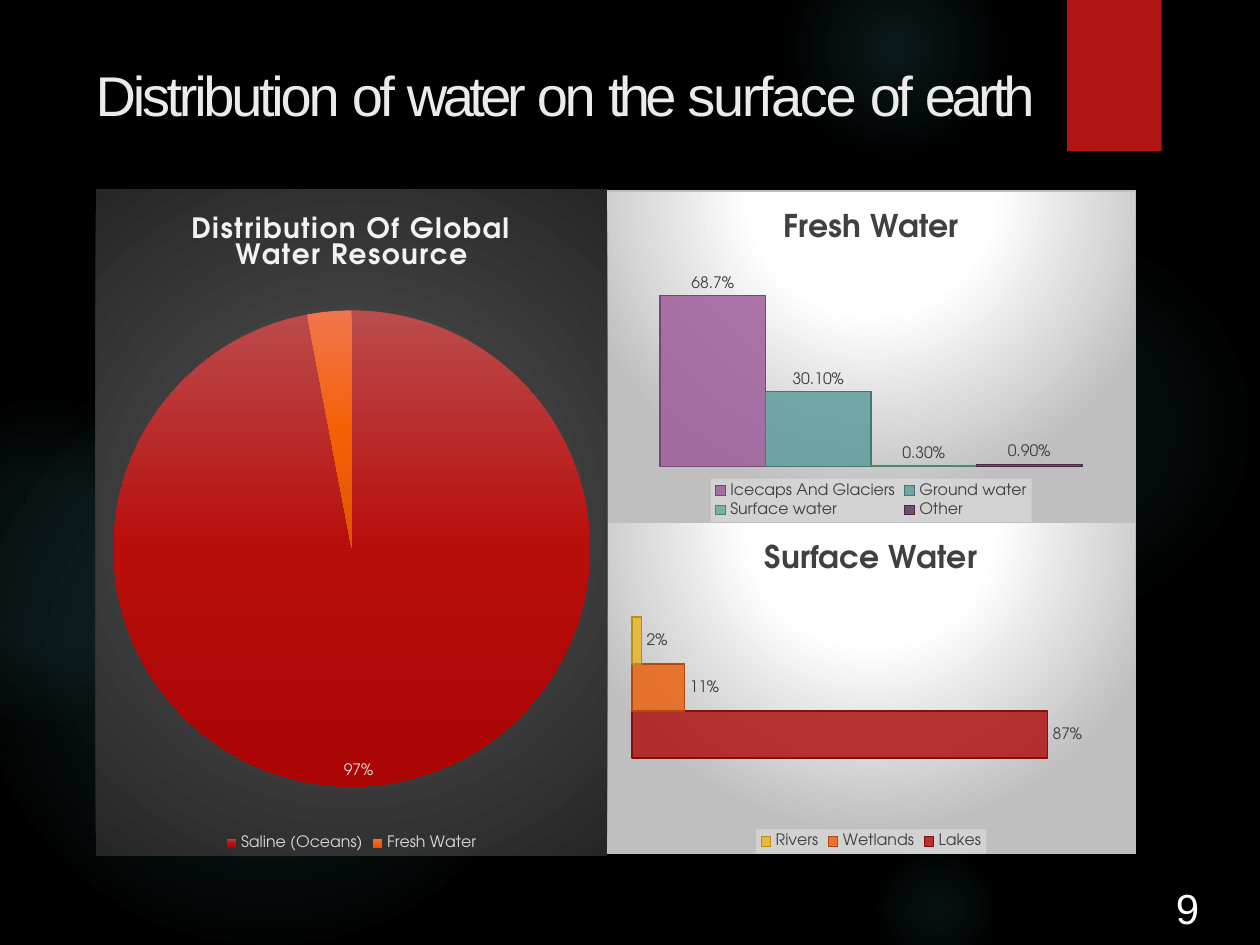
from lxml import etree
from pptx import Presentation
from pptx.chart.data import CategoryChartData
from pptx.dml.color import RGBColor
from pptx.enum.chart import XL_CHART_TYPE, XL_LABEL_POSITION, XL_LEGEND_POSITION
from pptx.enum.shapes import MSO_SHAPE
from pptx.enum.text import MSO_ANCHOR, PP_ALIGN
from pptx.oxml import parse_xml
from pptx.oxml.ns import nsdecls, qn
from pptx.util import Inches, Pt

COLUMN, BAR, PIE = XL_CHART_TYPE.COLUMN_CLUSTERED, XL_CHART_TYPE.BAR_CLUSTERED, XL_CHART_TYPE.PIE
BOTTOM = XL_LEGEND_POSITION.BOTTOM
INSIDE_END, OUTSIDE_END = XL_LABEL_POSITION.INSIDE_END, XL_LABEL_POSITION.OUTSIDE_END
RECTANGLE, OVAL = MSO_SHAPE.RECTANGLE, MSO_SHAPE.OVAL
TOP, LOWER, CENTER = MSO_ANCHOR.TOP, MSO_ANCHOR.BOTTOM, PP_ALIGN.CENTER

COLORS = {
    "black": "000000", "white": "FFFFFF", "glow": "50B9C1", "accent": "B01513",
    "title": "EBEBEB", "dark text": "404040", "pale text": "D9D9D9",
    "legend": "F2F2F2", "edge": "BFBFBF",
}
CHART_FONT = "TeX Gyre Adventor"
MID_CIRCLE = (50, 50, 50, 50)
ABOVE_CIRCLE = (50, -80, 50, 180)
LIGHT_STOPS = [(0, "FFFFFF", 100), (39, "FFFFFF", 100), (100, "BFBFBF", 100)]
DARK_STOPS = [(0, "595959", 100), (100, "262626", 100)]


def rgb(name):
    return RGBColor.from_string(COLORS.get(name, name))


def paint_gradient(properties, stops, focus=None):
    stop_xml = "".join(
        f'<a:gs pos="{pos * 1000}"><a:srgbClr val="{color}"><a:alpha val="{alpha * 1000}"/></a:srgbClr></a:gs>'
        for pos, color, alpha in stops)
    shade = '<a:lin ang="5400000" scaled="0"/>'
    if focus:
        sides = " ".join(f'{side}="{share * 1000}"' for side, share in zip("ltrb", focus))
        shade = f'<a:path path="circle"><a:fillToRect {sides}/></a:path>'
    gradient = parse_xml(f'<a:gradFill {nsdecls("a")} rotWithShape="1"><a:gsLst>{stop_xml}</a:gsLst>{shade}</a:gradFill>')
    properties.replace(properties.find(qn("a:noFill")), gradient)


deck = Presentation()
deck.slide_width, deck.slide_height = Inches(10), Inches(7.5)
slide = deck.slides.add_slide(deck.slide_layouts[5])
slide.background.fill.solid()
slide.background.fill.fore_color.rgb = rgb("black")

glows = [
    (6.89, 1.83, 3.08, [(0, 7), (36, 6), (69, 0)]),
    (6.22, -0.5, 1.75, [(0, 14), (36, 7), (73, 0)]),
    (6.89, 6.67, 1.08, [(0, 9), (36, 5), (66, 0)]),
    (-0.17, 2.92, 4.58, [(0, 11), (36, 10), (75, 0)]),
    (-0.92, 3.17, 2.58, [(0, 8), (36, 8), (72, 0)]),
]
for left, top, size, fades in glows:
    glow = slide.shapes.add_shape(OVAL, Inches(left), Inches(top), Inches(size), Inches(size))
    glow.shadow.inherit = False
    glow.fill.background()
    glow.line.fill.background()
    paint_gradient(glow.element.spPr, [(pos, COLORS["glow"], alpha) for pos, alpha in fades], MID_CIRCLE)

ribbon = slide.shapes.add_shape(RECTANGLE, Inches(8.47), 0, Inches(0.75), Inches(1.2))
ribbon.shadow.inherit = False
ribbon.fill.solid()
ribbon.fill.fore_color.rgb = rgb("accent")
ribbon.line.fill.background()

title = slide.shapes.title
title.element.getparent().append(title.element)
title.left, title.top, title.width, title.height = Inches(0.76), Inches(0.47), Inches(8.36), Inches(0.55)
page = slide.shapes.add_textbox(Inches(9.08), Inches(6.91), Inches(0.69), Inches(0.49))
text_blocks = [
    (title, 0.01, TOP, 32, "title", PP_ALIGN.LEFT,
     [("Distribution ", -1.9), ("of ", -2.1), ("water ", -2.6), ("on ", -1.9), ("the ", -2.7),
      ("surface ", -1.4), ("of ", -2.1), ("earth", -2.6)]),
    (page, 0.11, LOWER, 24, "white", CENTER, [("9", -0.1)]),
]
for block, inset, anchor, size, color, align, words in text_blocks:
    frame = block.text_frame
    frame.word_wrap = True
    frame.vertical_anchor = anchor
    frame.margin_left = frame.margin_right = frame.margin_bottom = 0
    frame.margin_top = Inches(inset)
    line = frame.paragraphs[0]
    line.alignment = align
    line.font.size, line.font.name = Pt(size), "Arial"
    line.font.color.rgb = rgb(color)
    for word, spacing in words:
        run = line.add_run()
        run.text = word
        run._r.get_or_add_rPr().set("spc", str(round(spacing * 100)))
page.text_frame.paragraphs[0].line_spacing = Pt(25.3)

charts = [
    dict(kind=COLUMN, at=(4.81, 1.51, 4.21, 2.64), title="Fresh Water", plot=(0.036, 0.232, 0.927, 0.6),
         top=0.8, cats=["1"], series=[
             ("Icecaps And Glaciers", [0.687], "9E5E9B", "764674", "0.0%"),
             ("Ground water", [0.301], "5F9C9D", "477576", "0.00%"),
             ("Surface water", [0.003], "6AAC90", "4B866D", "0.00%"),
             ("Other", [0.009], "5F385D", "472A46", "0.00%")]),
    dict(kind=BAR, at=(4.81, 4.14, 4.21, 2.64), title="Surface Water", plot=(0.048, 0.24, 0.903, 0.518),
         top=1, cats=["1"], series=[
             ("Lakes", [0.87], "B01513", "84100E", "0%"),
             ("Wetlands", [0.11], "EA6312", "B04A0D", "0%"),
             ("Rivers", [0.02], "E6B729", "B68E15", "0%")]),
    dict(kind=PIE, at=(0.76, 1.5, 4.06, 5.29), title="Distribution Of Global Water Resource",
         plot=(0.035, 0.182, 0.931, 0.715), cats=["Saline (Oceans)", "Fresh Water"],
         series=[("Series 1", [0.97, 0.03], None, None, "0%")]),
]
slices = [("BB4C4C", "B80D0B", "AA0503"), ("F1764C", "F56007", "E05400")]

for info in charts:
    is_pie = info["kind"] == PIE
    data = CategoryChartData(number_format="0%" if is_pie else "0.00%")
    data.categories = info["cats"]
    for name, values, *_ in info["series"]:
        data.add_series(name, values)
    chart = slide.shapes.add_chart(info["kind"], *map(Inches, info["at"]), data).chart
    chart.font.name, chart.font.size = CHART_FONT, Pt(10)
    chart.font.color.rgb = rgb("white")

    chart.has_title = True
    heading = chart.chart_title.text_frame.paragraphs[0]
    heading_run = heading.add_run()
    heading_run.text = info["title"]
    heading.font.name, heading.font.bold = CHART_FONT, True
    heading.font.size = Pt(16 if is_pie else 18)
    heading.font.color.rgb = rgb("F2F2F2" if is_pie else "dark text")
    if is_pie:
        heading_run._r.get_or_add_rPr().set("spc", "100")
    chart.chart_title.include_in_layout = False

    chart.has_legend = True
    legend = chart.legend
    legend.position, legend.include_in_layout = BOTTOM, False
    legend.font.name, legend.font.size = CHART_FONT, Pt(9)
    legend.font.color.rgb = rgb("pale text" if is_pie else "dark text")

    area = parse_xml(f'<c:spPr {nsdecls("c", "a")}><a:noFill/><a:ln w="9525"><a:noFill/></a:ln></c:spPr>')
    paint_gradient(area, DARK_STOPS if is_pie else LIGHT_STOPS, MID_CIRCLE if is_pie else ABOVE_CIRCLE)
    chart._chartSpace.find(qn("c:txPr")).addprevious(area)

    plot_area = chart._chartSpace.chart.plotArea
    for old_layout in plot_area.findall(qn("c:layout")):
        plot_area.remove(old_layout)
    places = "".join(f'<c:{key} val="{share}"/>' for key, share in zip("xywh", info["plot"]))
    plot_area.insert(0, parse_xml(
        f'<c:layout {nsdecls("c")}><c:manualLayout><c:layoutTarget val="inner"/><c:xMode val="edge"/>'
        f'<c:yMode val="edge"/>{places}</c:manualLayout></c:layout>'))

    plot = chart.plots[0]
    plot.vary_by_categories = is_pie
    if is_pie:
        pie = plot.series[0]
        for index, shades in enumerate(slices):
            pie.points[index].format.fill.background()
            wedge = pie._element.findall(qn("c:dPt"))[index].find(qn("c:spPr"))
            paint_gradient(wedge, [(pos, shade, 100) for pos, shade in zip((0, 50, 100), shades)])
        pie.data_labels.show_value = False
        label = pie.points[0].data_label
        label.font.name, label.font.size = CHART_FONT, Pt(9)
        label.font.color.rgb = rgb("pale text")
        label.position = INSIDE_END
        continue

    area.find(qn("a:ln")).replace(area.find(qn("a:ln"))[0], parse_xml(
        f'<a:solidFill {nsdecls("a")}><a:srgbClr val="{COLORS["edge"]}"/></a:solidFill>'))
    legend_back = parse_xml(
        f'<c:spPr {nsdecls("c", "a")}><a:solidFill><a:srgbClr val="{COLORS["legend"]}">'
        '<a:alpha val="39000"/></a:srgbClr></a:solidFill></c:spPr>')
    legend._element.find(qn("c:txPr")).addprevious(legend_back)
    plot.gap_width, plot.overlap = 65, 0
    chart.category_axis.visible = chart.value_axis.visible = False
    chart.value_axis.has_major_gridlines = False
    chart.value_axis.minimum_scale, chart.value_axis.maximum_scale = 0, info["top"]
    for series, (_, _, color, edge, number_format) in zip(plot.series, info["series"]):
        series.format.fill.solid()
        series.format.fill.fore_color.rgb = rgb(color)
        swatch = series._element.find(qn("c:spPr")).find(f'{qn("a:solidFill")}/{qn("a:srgbClr")}')
        etree.SubElement(swatch, qn("a:alpha")).set("val", "85000")
        series.format.line.color.rgb = rgb(edge)
        series.format.line.width = Pt(0.75)
        labels = series.data_labels
        labels.show_value, labels.position = True, OUTSIDE_END
        labels.number_format, labels.number_format_is_linked = number_format, False
        labels.font.name, labels.font.size = CHART_FONT, Pt(9)
        labels.font.color.rgb = rgb("dark text")

deck.save("out.pptx")
